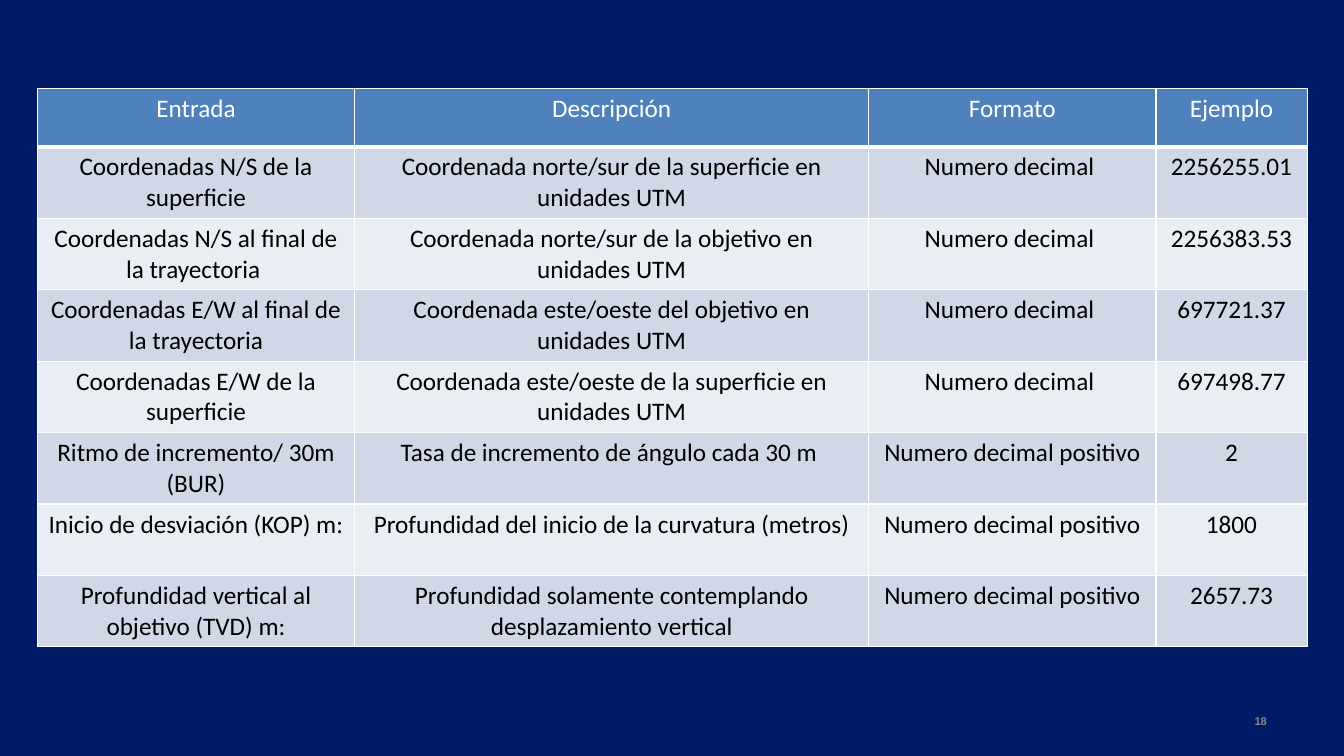
from dataclasses import dataclass

from lxml import etree
from pptx import Presentation
from pptx.dml.color import RGBColor
from pptx.enum.text import MSO_ANCHOR, PP_ALIGN
from pptx.oxml.ns import qn
from pptx.util import Cm, Pt

MIDDLE = MSO_ANCHOR.MIDDLE
CENTER, RIGHT = PP_ALIGN.CENTER, PP_ALIGN.RIGHT
BLANK = 6


@dataclass(frozen=True)
class Theme:
    back: str = "001A65"
    head: str = "4F81BD"
    bands: tuple = ("D0D8E8", "E9EDF4")
    light: str = "FFFFFF"
    dark: str = "000000"
    muted: str = "8C8C8C"
    font: str = "Calibri"
    small_font: str = "Arial"
    size: int = 18
    small: int = 8
    thin: int = 1
    thick: int = 3


COLS = (8, 12.95, 7.24, 3.81)
HEAD_ROW, BODY_ROW = 1.46, 1.8
DECIMAL, POSITIVE = "Numero decimal ", "Numero decimal positivo"
ROWS = (
    ("Entrada", "Descripción", "Formato", "Ejemplo"),
    ("Coordenadas N/S de la superficie",
     "Coordenada norte/sur de la superficie en unidades UTM", DECIMAL, "2256255.01"),
    ("Coordenadas N/S al final de la trayectoria ",
     "Coordenada norte/sur de la objetivo en unidades UTM", DECIMAL, "2256383.53"),
    ("Coordenadas E/W al final de la trayectoria",
     "Coordenada este/oeste del objetivo en unidades UTM", DECIMAL, "697721.37"),
    ("Coordenadas E/W de la superficie",
     "Coordenada este/oeste de la superficie en unidades UTM", DECIMAL, "697498.77"),
    ("Ritmo de incremento/ 30m (BUR)",
     "Tasa de incremento de ángulo cada 30 m ", POSITIVE, "2"),
    ("Inicio de desviación (KOP) m:",
     "Profundidad del inicio de la curvatura (metros)", POSITIVE, "1800"),
    ("Profundidad vertical al objetivo (TVD) m:",
     "Profundidad solamente contemplando desplazamiento vertical", POSITIVE, "2657.73"),
)


class Deck:
    def __init__(self, theme):
        self.theme = theme
        self.deck = Presentation()
        self.deck.slide_width, self.deck.slide_height = Cm(33.87), Cm(19.05)
        self.slide = self.deck.slides.add_slide(self.deck.slide_layouts[BLANK])
        fill = self.slide.background.fill
        fill.solid()
        fill.fore_color.rgb = RGBColor.from_string(theme.back)

    def text(self, frame, words, align, font, size, color, bold=False):
        para = frame.paragraphs[0]
        para.alignment = align
        run = para.add_run()
        run.text = words
        run.font.name, run.font.size, run.font.bold = font, Pt(size), bold
        run.font.color.rgb = RGBColor.from_string(color)

    def border(self, cell, **widths):
        """Draw the sides L, R, T and B with widths in points."""
        props = cell._tc.get_or_add_tcPr()
        for side, width in widths.items():
            line = etree.SubElement(props, qn(f"a:ln{side}"), w=str(Pt(width)))
            fill = etree.SubElement(line, qn("a:solidFill"))
            etree.SubElement(fill, qn("a:srgbClr"), val=self.theme.light)

    def table(self, left, top, cols, rows):
        look = self.theme
        high = HEAD_ROW + BODY_ROW * (len(rows) - 1)
        grid = self.slide.shapes.add_table(
            len(rows), len(cols), Cm(left), Cm(top), Cm(sum(cols)), Cm(high)).table
        for col, width in zip(grid.columns, cols):
            col.width = Cm(width)
        for r, texts in enumerate(rows):
            grid.rows[r].height = Cm(BODY_ROW if r else HEAD_ROW)
            tint = look.bands[(r - 1) % 2] if r else look.head
            ink = look.dark if r else look.light
            for c, words in enumerate(texts):
                cell = grid.cell(r, c)
                self.border(cell, L=look.thin, R=look.thin,
                            T=look.thick if r == 1 else look.thin,
                            B=look.thin if r else look.thick)
                cell.fill.solid()
                cell.fill.fore_color.rgb = RGBColor.from_string(tint)
                self.text(cell.text_frame, words, CENTER, look.font, look.size, ink)

    def number(self, words, left, top, width, height):
        look = self.theme
        box = self.slide.shapes.add_textbox(Cm(left), Cm(top), Cm(width), Cm(height))
        frame = box.text_frame
        frame.word_wrap, frame.vertical_anchor = True, MIDDLE
        self.text(frame, words, RIGHT, look.small_font, look.small, look.muted, True)


def main():
    deck = Deck(Theme())
    deck.number("18", 24.28, 17.65, 7.9, 1.02)
    deck.table(0.94, 2.24, COLS, ROWS)
    deck.deck.save("out.pptx")


if __name__ == "__main__":
    main()
